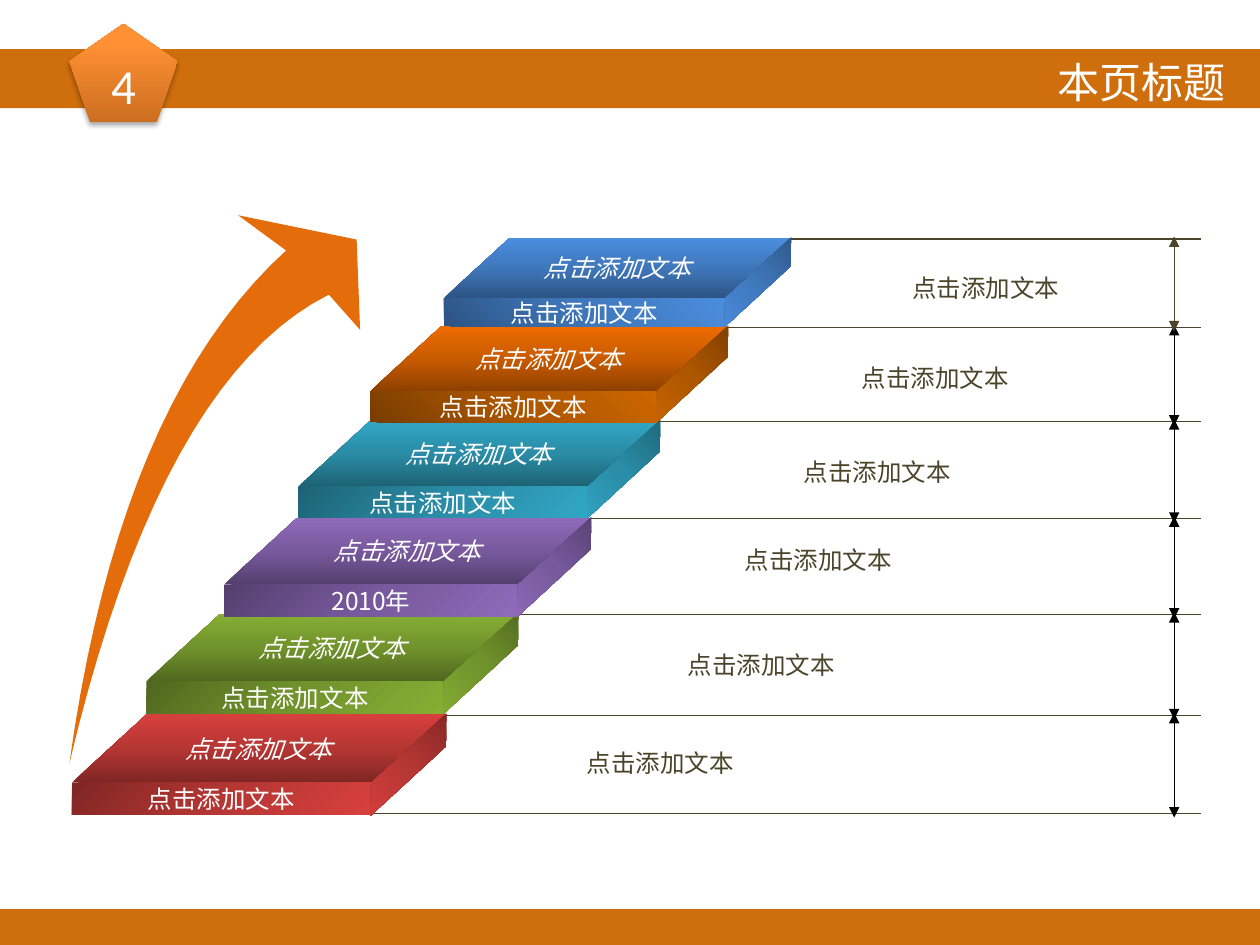
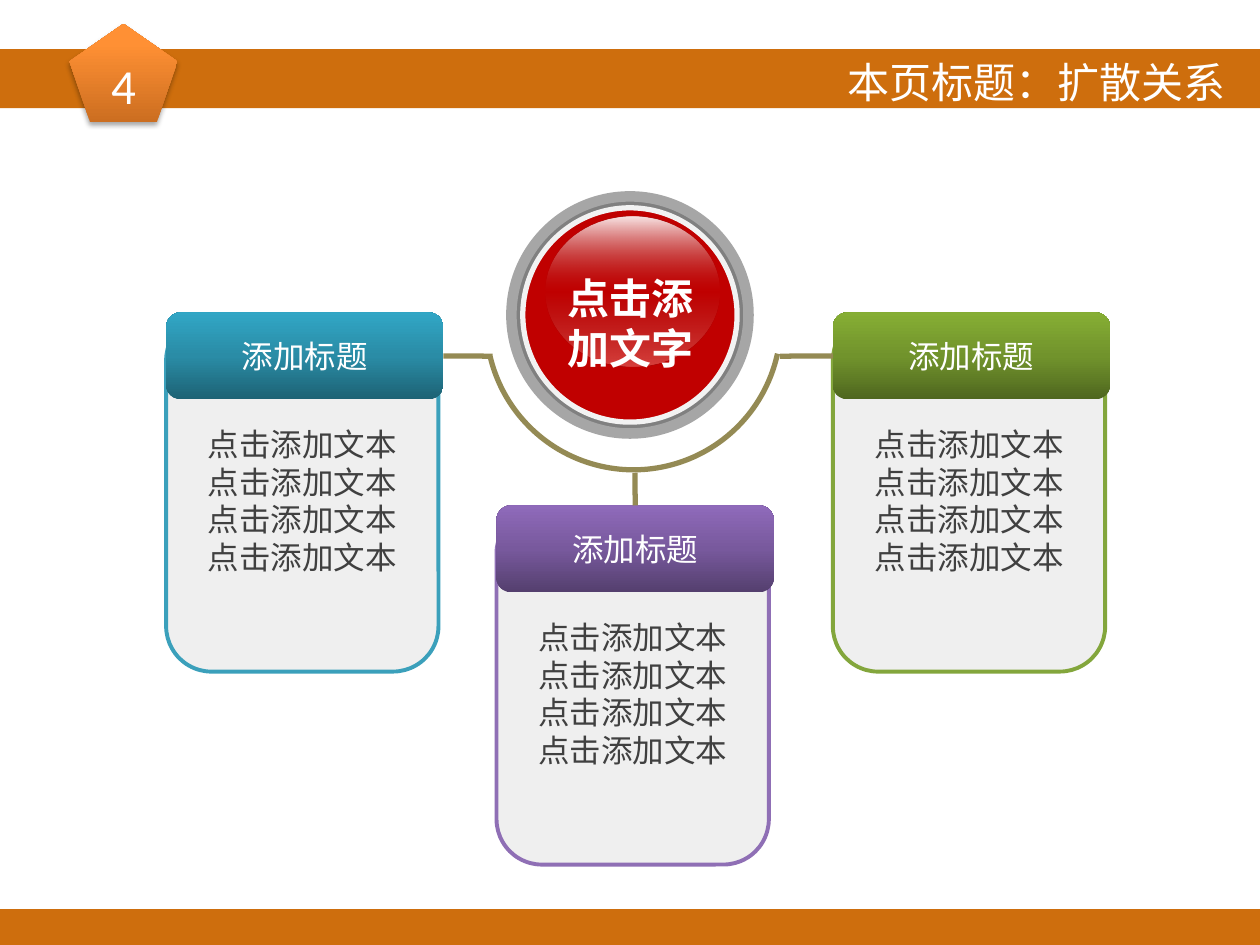
"""Build a staircase slide and a diffusion-relation slide under one shared orange banner."""
from lxml.etree import SubElement
from pptx import Presentation
from pptx.dml.color import RGBColor
from pptx.enum.shapes import MSO_CONNECTOR, MSO_SHAPE
from pptx.enum.text import MSO_ANCHOR, MSO_AUTO_SIZE, PP_ALIGN
from pptx.oxml import parse_xml
from pptx.oxml.ns import nsdecls, qn
from pptx.util import Cm, Pt

FONT = "Noto Sans CJK SC"
COLORS = {
    "band": "CE6E0D", "white": "FFFFFF", "black": "000000", "olive": "4A452A",
    "swoosh": "E46C0A", "khaki": "948A54", "body": "404040", "card": "EFEFEF",
    "ring": "808080", "rim": "A6A6A6", "ball": "C00000", "ball_rim": "F2F2F2",
    "teal_line": "3BA0BB", "purple_line": "8F6FB5", "green_line": "83A63C",
}
SHADES = {
    "red": ("7F2624", "B53633", "D7403D"),
    "green": ("4F671F", "71932C", "86AE34"),
    "purple": ("543F6E", "78599D", "8F6ABA"),
    "teal": ("1D6274", "2A8CA6", "31A6C5"),
    "orange": ("793C00", "AC5600", "CC6600"),
    "orange_top": ("8D4000", "C85B00", "EE6B00"),
    "blue": ("2D5484", "3F77BB", "4B8DDE"),
}
GRADIENTS = {name: list(zip((0, 50, 100), tones, (100, 100, 100))) for name, tones in SHADES.items()}
GRADIENTS["badge"] = [(0, "CC6E20", 100), (80, "FF9034", 100), (100, "FF9136", 100)]
GRADIENTS["gloss"] = [(0, "FFFFFF", 90), (50, "B53633", 0), (100, "D7403D", 100)]


def paint(shape, fill, angle=270, line=None, width=0):
    """Give a shape a solid or gradient fill, an optional outline and no shadow."""
    shape.shadow.inherit = False
    if fill in GRADIENTS:
        stops = "".join(
            f'<a:gs pos="{pos * 1000}"><a:srgbClr val="{tone}"><a:alpha val="{alpha * 1000}"/></a:srgbClr></a:gs>'
            for pos, tone, alpha in GRADIENTS[fill])
        shape.fill.gradient()
        old = shape.element.spPr.find(qn("a:gradFill"))
        shape.element.spPr.replace(old, parse_xml(
            f'<a:gradFill {nsdecls("a")} rotWithShape="1"><a:gsLst>{stops}</a:gsLst>'
            f'<a:lin ang="{angle * 60000}" scaled="0"/></a:gradFill>'))
    else:
        shape.fill.solid()
        shape.fill.fore_color.rgb = RGBColor.from_string(COLORS[fill])
    if line:
        shape.line.color.rgb = RGBColor.from_string(COLORS[line])
        shape.line.width = Pt(width)
    else:
        shape.line.fill.background()


def write(shape, text, size, color="white", align=PP_ALIGN.CENTER, wrap=True,
          anchor=MSO_ANCHOR.MIDDLE, font=FONT, bold=False, italic=False):
    """Fill a shape with evenly formatted paragraphs."""
    tf = shape.text_frame
    tf.text = text
    tf.word_wrap = wrap
    tf.auto_size = MSO_AUTO_SIZE.NONE
    tf.vertical_anchor = anchor
    for p in tf.paragraphs:
        p.alignment = align
        p.font.name, p.font.size = font, Pt(size)
        p.font.bold, p.font.italic = bold, italic
        p.font.color.rgb = RGBColor.from_string(COLORS[color])
        SubElement(p.font._element, qn("a:ea"), typeface=font)


prs = Presentation()
prs.slide_width, prs.slide_height = Cm(25.4), Cm(19.05)
layout = prs.slide_layouts[5]
title = layout.placeholders[0]
title.left, title.top, title.width, title.height = Cm(10), Cm(1), Cm(14.95), Cm(1.3)

titles = ["本页标题", "本页标题：扩散关系"]
slides = [prs.slides.add_slide(layout) for _ in titles]
for y, h in [(0.99, 1.19), (18.33, 0.72)]:
    band = slides[0].shapes.add_shape(MSO_SHAPE.RECTANGLE, 0, Cm(y), prs.slide_width, Cm(h))
    paint(band, "band")
    layout.shapes.element.insert(2, band.element)

for s, text in zip(slides, titles):
    write(s.shapes.title, text, 24, align=PP_ALIGN.RIGHT)
    badge = s.shapes.add_shape(MSO_SHAPE.REGULAR_PENTAGON, Cm(1.4), Cm(0.48), Cm(2.18), Cm(1.98))
    paint(badge, "badge")
    write(badge, "4", 28, font="Calibri")
    badge.element.spPr.find(qn("a:effectLst")).append(parse_xml(
        f'<a:outerShdw {nsdecls("a")} blurRad="{Pt(3.1)}" dist="{Pt(1.8)}" dir="5400000" rotWithShape="0">'
        '<a:srgbClr val="000000"><a:alpha val="35000"/></a:srgbClr></a:outerShdw>'))

s = slides[0]
links = []
label = "点击添加文本"
base_y, slant, front_share = 16.4, 1.094, 0.32
steps = [
    ("red", 1.45, 14.4, 7.54, 2.03, 45, label, 11.58, 14.96),
    ("green", 2.95, 12.37, 7.49, 2.01, 45, label, 13.61, 12.98),
    ("purple", 4.52, 10.44, 7.39, 1.98, 45, "2010年", 14.76, 10.87),
    ("teal", 6.01, 8.48, 7.29, 1.96, 45, label, 15.95, 9.09),
    ("orange", 7.46, 6.58, 7.21, 1.93, 315, label, 17.12, 7.19),
    ("blue", 8.95, 4.8, 6.99, 1.78, 315, label, 18.14, 5.38),
]

guides = [(7.21, base_y)] + [(x + w - 0.4, y + 0.02) for _, x, y, w, *_ in steps]
for x, y in guides:
    c = s.shapes.add_connector(MSO_CONNECTOR.STRAIGHT, Cm(24.21), Cm(y), Cm(x), Cm(y))
    links.append((c, "olive", 0.75, False))
for (_, low), (_, high) in zip(guides, guides[1:]):
    c = s.shapes.add_connector(MSO_CONNECTOR.STRAIGHT, Cm(23.67), Cm(high - 0.05), Cm(23.67), Cm(low + 0.08))
    links.append((c, "olive" if high == guides[-1][1] else "black", 0.75, True))

tail, outer_end, inner_end = (1.4, 15.39), (5.77, 5.05), (6.63, 5.94)
curves = []
for start, bend, end in [(tail, (2.41, 8.1), outer_end), (inner_end, (3.23, 7.65), tail)]:
    curves.append([
        tuple(Cm((1 - t) ** 2 * a + 2 * t * (1 - t) * b + t ** 2 * c) for a, b, c in zip(start, bend, end))
        for t in (i / 20 for i in range(21))])
head = [(Cm(x), Cm(y)) for x, y in [(4.8, 4.34), (7.19, 4.83), (7.26, 6.65)]]
fb = s.shapes.build_freeform(*curves[0][0])
fb.add_line_segments(curves[0][1:] + head + curves[1], close=True)
paint(fb.convert_to_shape(), "swoosh")

for color, x, y, w, h, angle, front_text, note_x, note_y in steps:
    front_h = front_share * h
    top_h = h - front_h
    front_w = w - slant * top_h
    top = s.shapes.add_shape(MSO_SHAPE.PARALLELOGRAM, Cm(x), Cm(y), Cm(w), Cm(top_h))
    top.adjustments[0] = slant
    paint(top, "orange_top" if color == "orange" else color)
    write(top, label, 14, wrap=False, italic=True)

    front = s.shapes.add_shape(MSO_SHAPE.RECTANGLE, Cm(x), Cm(y + top_h), Cm(front_w), Cm(front_h))
    paint(front, color, angle)
    write(front, front_text, 14, wrap=False)

    side_w, side_h = 1.24 * h, 0.74 * front_h
    side = s.shapes.add_shape(
        MSO_SHAPE.PARALLELOGRAM, Cm(x + (w + front_w - side_w) / 2), Cm(y + (h - side_h) / 2),
        Cm(side_w), Cm(side_h))
    side.adjustments[0] = 0.945
    side.rotation = 137.4
    paint(side, color, 0)

    note = s.shapes.add_textbox(Cm(note_x), Cm(note_y), Cm(3.51), Cm(0.86))
    write(note, label, 14, "olive", PP_ALIGN.LEFT, wrap=False, anchor=MSO_ANCHOR.TOP)

s = slides[1]
for x, y, w, h, fill, line, width in [
    (10.31, 3.96, 4.78, 4.78, "ring", "rim", 6),
    (10.54, 4.19, 4.32, 4.32, "ball", "ball_rim", 3),
    (11, 4.37, 3.5, 3.02, "gloss", None, 0),
]:
    oval = s.shapes.add_shape(MSO_SHAPE.OVAL, Cm(x), Cm(y), Cm(w), Cm(h))
    paint(oval, fill, 90, line, width)
tb = s.shapes.add_textbox(Cm(11.12), Cm(5.36), Cm(3.18), Cm(2.31))
write(tb, "点击添加文字", 24, bold=True, anchor=MSO_ANCHOR.TOP)

arc = s.shapes.add_shape(MSO_SHAPE.ARC, Cm(9.8), Cm(3.53), Cm(5.94), Cm(5.94))
arc.adjustments[0], arc.adjustments[1] = 115.33, 208
arc.rotation = 180
paint(arc, "white", line="khaki", width=3)
arc.fill.background()

for color, x, y, site, end_x, end_y in [
    ("teal", 3.35, 6.3, 3, 9.93, 7.18),
    ("purple", 10.01, 10.19, 0, 12.8, 9.53),
    ("green", 16.79, 6.3, 1, 15.72, 7.18),
]:
    card = s.shapes.add_shape(MSO_SHAPE.ROUNDED_RECTANGLE, Cm(x), Cm(y + 0.05), Cm(5.49), Cm(7.19))
    paint(card, "card", line=f"{color}_line", width=2.25)
    header = s.shapes.add_shape(MSO_SHAPE.ROUNDED_RECTANGLE, Cm(x), Cm(y), Cm(5.59), Cm(1.75))
    paint(header, color)
    write(header, "添加标题", 18)
    tb = s.shapes.add_textbox(Cm(x), Cm(y + 2.14), Cm(5.49), Cm(3.33))
    write(tb, "\n".join([label] * 4), 18, "body", anchor=MSO_ANCHOR.TOP)
    c = s.shapes.add_connector(MSO_CONNECTOR.STRAIGHT, 0, 0, Cm(end_x), Cm(end_y))
    c.begin_connect(header, site)
    links.append((c, "khaki", 3, False))

for c, color, width, arrows in links:
    c.line.color.rgb = RGBColor.from_string(COLORS[color])
    c.line.width = Pt(width)
    if arrows:
        for end in ("a:headEnd", "a:tailEnd"):
            SubElement(c.line._get_or_add_ln(), qn(end), type="triangle")
    SubElement(c.element.spPr, qn("a:effectLst"))

prs.save("out.pptx")
